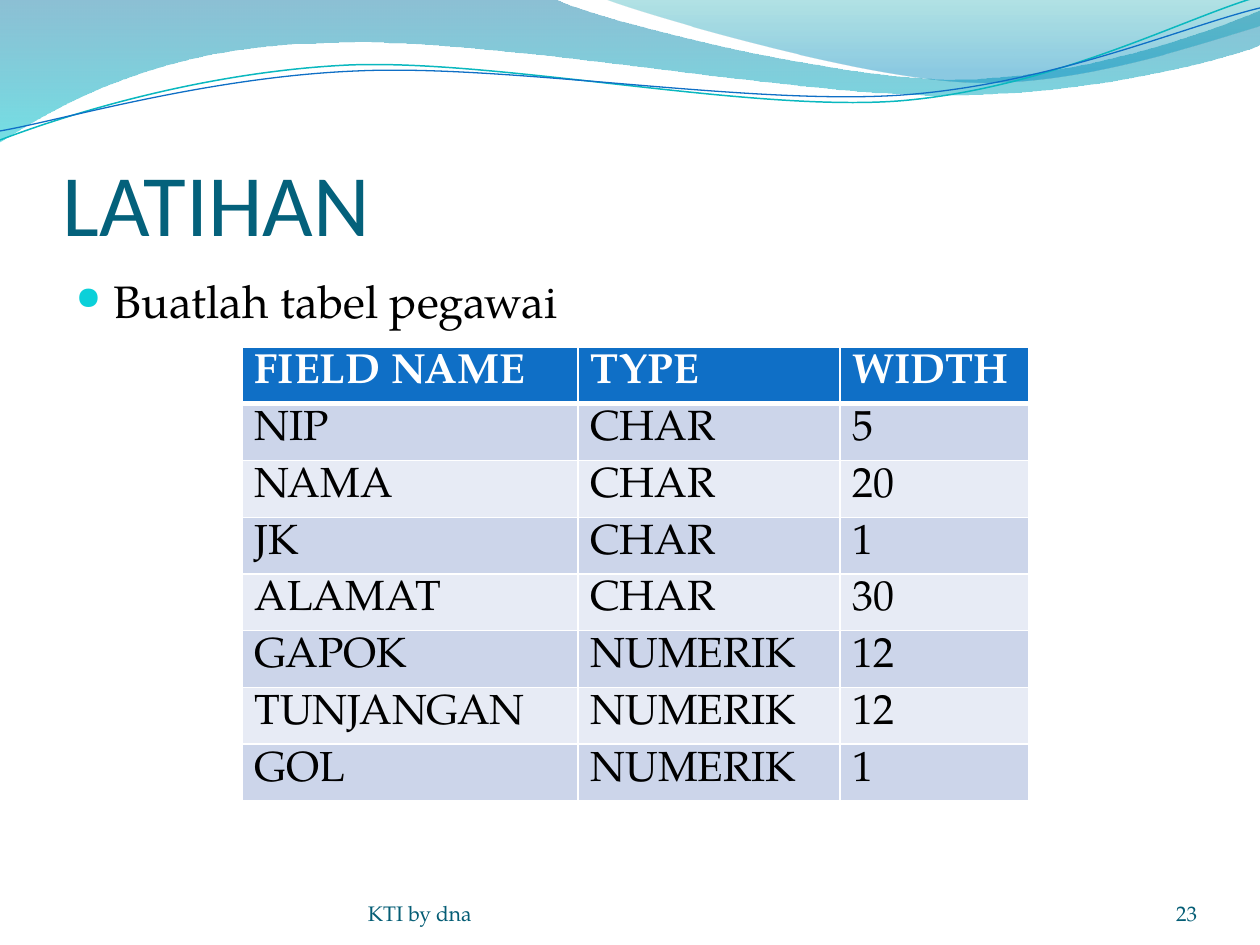
"""Build the LATIHAN exercise slide: wave header, bullet and employee table."""
import itertools
from dataclasses import dataclass

import lxml.etree
import pptx
import pptx.dml.color
import pptx.enum.text
import pptx.oxml
import pptx.oxml.ns
import pptx.util

EMU_PER_PX = 914400 / 126
SLIDE_SIZE = (1260, 945)
ALIGN = pptx.enum.text.PP_ALIGN
ANCHOR = pptx.enum.text.MSO_ANCHOR


@dataclass(frozen=True)
class Theme:
    heading_font: str = "Calibri"
    body_font: str = "TeX Gyre Pagella"
    title: str = "04617B"
    footer: str = "045D75"
    text: str = "000000"
    white: str = "FFFFFF"
    bullet: str = "0BD0D9"
    header_fill: str = "0F6FC6"
    bands: tuple = ("CCD5EA", "E7EBF5")
    title_size: int = 50
    body_size: int = 26
    table_size: int = 24
    footer_size: int = 12
    bullet_percent: int = 70


THEME = Theme()

WAVES = [
    {
        "points": [(0, 0), (554, -1), (600, 21, 837, 79, 955, 79),
                   (1075, 79, 1207, 33, 1260, 11), (1261, 45),
                   (1239, 55, 1096, 96, 940, 95), (784, 95, 481, 35, 324, 43),
                   (163, 45, 58, 105, -1, 142)],
        "stops": [(0, "0074A1", 45), (1, "00C6CF", 55)],
    },
    {
        "points": [(604, -1), (641, 14, 859, 78, 969, 82),
                   (1079, 87, 1211, 40, 1260, 26), (1260, 0)],
        "stops": [(0, "00A1A9", 30), (0.8, "008BBF", 45)],
    },
    {
        "points": [(0, 140), (60, 117, 199, 72, 349, 65),
                   (498, 59, 747, 112, 898, 101), (1050, 89, 1182, 19, 1257, -3)],
        "line": ("0AB8BF", 0.85),
    },
    {
        "points": [(0, 131), (59, 121, 207, 77, 357, 71),
                   (508, 64, 752, 106, 903, 95), (1053, 84, 1185, 26, 1260, 8)],
        "line": ("0F6FC6", 0.75),
    },
]

TEXTS = [
    ("LATIHAN", (63, 97, 1134, 157), (0, 6, 0, 0), ANCHOR.BOTTOM,
     {"size": THEME.title_size, "color": THEME.title, "font": THEME.heading_font}),
    ("Buatlah tabel pegawai", (63, 267, 1134, 605), (13, 6, 13, 6), ANCHOR.TOP,
     {"size": THEME.body_size, "bullet": "●"}),
    ("KTI by dna", (368, 876, 462, 50), (0, 0, 0, 0), ANCHOR.BOTTOM,
     {"size": THEME.footer_size, "color": THEME.footer}),
    ("23", (1092, 876, 105, 50), (0, 0, 0, 0), ANCHOR.BOTTOM,
     {"size": THEME.footer_size, "color": THEME.footer, "align": ALIGN.RIGHT}),
]

TABLE_ORIGIN = (242, 347)
COLUMN_WIDTHS = (336, 262, 189)
ROW_HEIGHT = 56
FIELDS = [
    ("FIELD NAME", "TYPE", "WIDTH"),
    ("NIP", "CHAR", "5"),
    ("NAMA", "CHAR", "20"),
    ("JK", "CHAR", "1"),
    ("ALAMAT", "CHAR", "30"),
    ("GAPOK", "NUMERIK", "12"),
    ("TUNJANGAN", "NUMERIK", "12"),
    ("GOL", "NUMERIK", "1"),
]


def px(length):
    return pptx.util.Emu(round(length * EMU_PER_PX))


def rgb(color):
    return pptx.dml.color.RGBColor.from_string(color)


def add_xml(parent, tag, **attributes):
    return lxml.etree.SubElement(parent, pptx.oxml.ns.qn(tag), attributes)


def write_text(frame, text, *, size, color=THEME.text, font=THEME.body_font,
               bold=False, align=ALIGN.LEFT, bullet=None):
    paragraph = frame.paragraphs[0]
    paragraph.alignment = align
    if bullet:
        properties = paragraph._p.get_or_add_pPr()
        properties.set("marL", str(px(38)))
        properties.set("indent", str(px(-38)))
        add_xml(add_xml(properties, "a:buClr"), "a:srgbClr", val=THEME.bullet)
        add_xml(properties, "a:buSzPct", val=str(THEME.bullet_percent * 1000))
        add_xml(properties, "a:buChar", char=bullet)
    run = paragraph.add_run()
    run.text = text
    run.font.name = font
    run.font.size = pptx.util.Pt(size)
    run.font.bold = bold
    run.font.color.rgb = rgb(color)


def bend_segments(shape, points):
    segments = iter(list(shape._element.iter(pptx.oxml.ns.qn("a:lnTo"))))
    for point in points[1:]:
        group = list(itertools.islice(segments, len(point) // 2))
        if len(group) == 3:
            curve = lxml.etree.Element(pptx.oxml.ns.qn("a:cubicBezTo"))
            group[0].addprevious(curve)
            for segment in group:
                curve.append(segment[0])
                segment.getparent().remove(segment)


def add_wave(slide, points, stops=None, line=None):
    lengths = [px(length) for length in itertools.chain.from_iterable(points)]
    start, *rest = zip(lengths[::2], lengths[1::2])
    builder = slide.shapes.build_freeform(*start)
    builder.add_line_segments(rest, close=stops is not None)
    shape = builder.convert_to_shape()
    bend_segments(shape, points)
    shape.shadow.inherit = False
    if line:
        color, width = line
        shape.fill.background()
        shape.line.color.rgb = rgb(color)
        shape.line.width = pptx.util.Pt(width)
        return
    shape.line.fill.background()
    shape.fill.gradient()
    shape.fill.gradient_angle = 270
    for stop, (position, color, _) in zip(shape.fill.gradient_stops, stops):
        stop.position = position
        stop.color.rgb = rgb(color)
    colors = shape._element.spPr.iter(pptx.oxml.ns.qn("a:srgbClr"))
    for element, (_, _, opacity) in zip(colors, stops):
        add_xml(element, "a:alpha", val=str(opacity * 1000))


def add_text(slide, text, box, insets, anchor, style):
    frame = slide.shapes.add_textbox(*map(px, box)).text_frame
    frame.word_wrap = True
    frame.vertical_anchor = anchor
    frame.margin_left, frame.margin_top, frame.margin_right, frame.margin_bottom = map(px, insets)
    write_text(frame, text, **style)


def add_borders(cell, row):
    properties = cell._tc.get_or_add_tcPr()
    top = 3 if row == 1 else 1
    bottom = 3 if row == 0 else 1
    for side, points in (("L", 1), ("R", 1), ("T", top), ("B", bottom)):
        border = add_xml(properties, f"a:ln{side}", w=str(pptx.util.Pt(points)))
        add_xml(add_xml(border, "a:solidFill"), "a:srgbClr", val=THEME.white)


def add_field_table(slide):
    size = (sum(COLUMN_WIDTHS), ROW_HEIGHT * len(FIELDS))
    table = slide.shapes.add_table(len(FIELDS), len(COLUMN_WIDTHS),
                                   *map(px, TABLE_ORIGIN + size)).table
    for column, width in zip(table.columns, COLUMN_WIDTHS):
        column.width = px(width)
    for row in table.rows:
        row.height = px(ROW_HEIGHT)
    for row, column in itertools.product(range(len(FIELDS)), range(len(COLUMN_WIDTHS))):
        cell = table.cell(row, column)
        header = row == 0
        add_borders(cell, row)
        cell.margin_bottom = 0
        cell.fill.solid()
        cell.fill.fore_color.rgb = rgb(THEME.header_fill if header else THEME.bands[(row - 1) % 2])
        write_text(cell.text_frame, FIELDS[row][column], size=THEME.table_size,
                   color=THEME.white if header else THEME.text, bold=header)


def main():
    presentation = pptx.Presentation()
    presentation.slide_width, presentation.slide_height = map(px, SLIDE_SIZE)
    slide = presentation.slides.add_slide(presentation.slide_layouts[6])
    for wave in WAVES:
        add_wave(slide, **wave)
    for entry in TEXTS:
        add_text(slide, *entry)
    add_field_table(slide)
    presentation.save("out.pptx")


if __name__ == "__main__":
    main()
